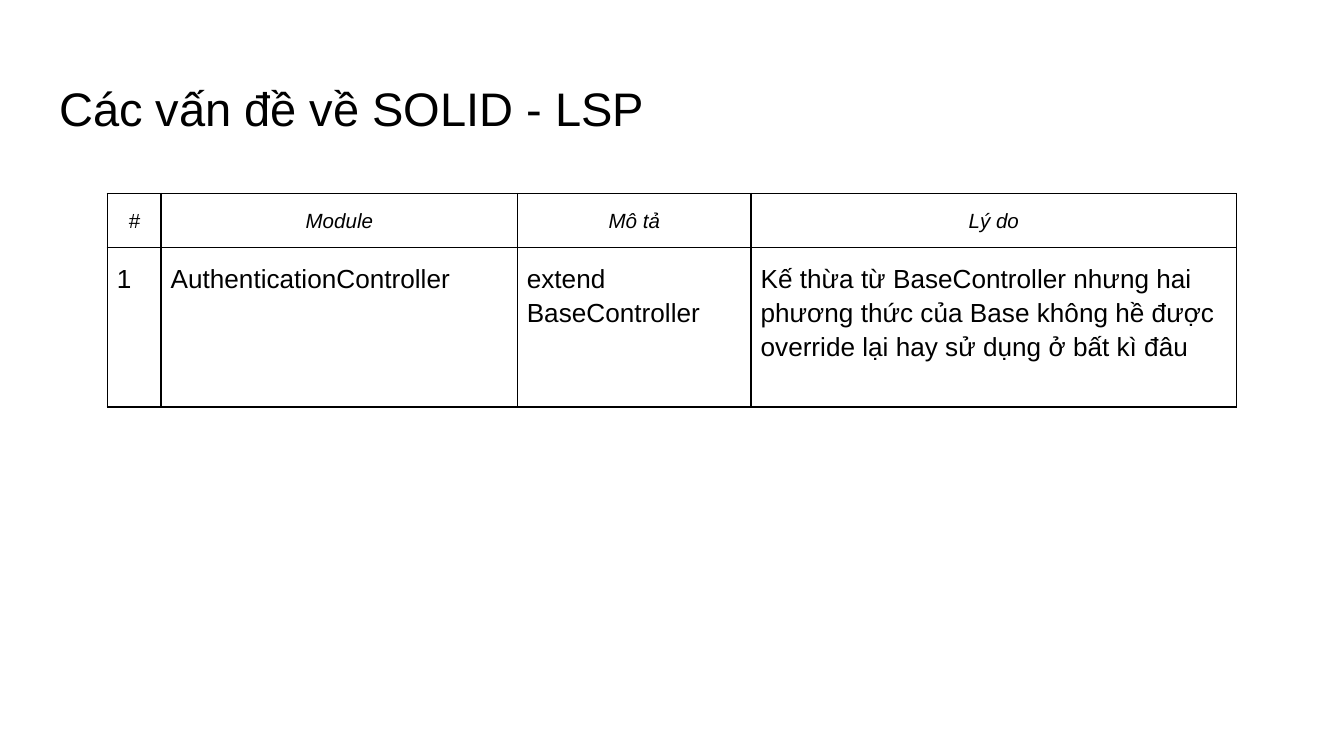
from lxml import etree
from pptx import Presentation
from pptx import util as u
from pptx.dml.color import RGBColor
from pptx.enum import text
from pptx.oxml.ns import qn

BLACK = RGBColor(0x00, 0x00, 0x00)
FONT = "Arial"

COLUMN_WIDTHS = [0.4, 2.65, 1.74, 3.61]
ROW_HEIGHTS = [0.4, 1.19]
ROWS = [
    ["#", "Module", "Mô tả", "Lý do"],
    ["1", "AuthenticationController", "extend BaseController",
     "Kế thừa từ BaseController nhưng hai phương thức của Base "
     "không hề được override lại hay sử dụng ở bất kì đâu"],
]
HEADER_FONT = {"size": u.Pt(11), "italic": True}
BODY_FONT = {"size": u.Pt(14), "italic": False}
CELL_MARGINS = {
    "margin_left": u.Inches(0.07), "margin_right": u.Inches(0.07),
    "margin_top": u.Inches(0.1), "margin_bottom": u.Inches(0.1),
}


def set_attrs(obj, values):
    for name, value in values.items():
        setattr(obj, name, value)


def set_font(p, values):
    set_attrs(p.font, {"name": FONT, "bold": False, **values})
    p.font.color.rgb = BLACK


def set_borders(cell, width=1):
    tc_pr = cell._tc.get_or_add_tcPr()
    for i, side in enumerate(("lnL", "lnR", "lnT", "lnB")):
        ln = etree.Element(qn(f"a:{side}"), w=str(u.Pt(width)))
        fill = etree.SubElement(ln, qn("a:solidFill"))
        etree.SubElement(fill, qn("a:srgbClr"), val=str(BLACK))
        tc_pr.insert(i, ln)


def add_title(slide, left, top, width, height):
    sp = slide.shapes.title
    set_attrs(sp, {"left": u.Inches(left), "top": u.Inches(top),
                   "width": u.Inches(width), "height": u.Inches(height)})
    tf = sp.text_frame
    tf.text = "Các vấn đề về SOLID - LSP"
    margins = {f"margin_{side}": u.Inches(0.1)
               for side in ("left", "right", "top", "bottom")}
    set_attrs(tf, {**margins, "word_wrap": True,
                   "auto_size": text.MSO_AUTO_SIZE.NONE,
                   "vertical_anchor": text.MSO_ANCHOR.TOP})
    p = tf.paragraphs[0]
    p.alignment = text.PP_ALIGN.LEFT
    set_font(p, {"size": u.Pt(25.2)})


def fill_cell(cell, words, is_header):
    cell.text = words
    cell.fill.background()
    set_attrs(cell, {**CELL_MARGINS, "vertical_anchor": text.MSO_ANCHOR.TOP})
    p = cell.text_frame.paragraphs[0]
    align = text.PP_ALIGN.CENTER if is_header else text.PP_ALIGN.LEFT
    set_attrs(p, {"alignment": align, "line_spacing": 1.15,
                  "space_after": u.Pt(12)})
    set_font(p, HEADER_FONT if is_header else BODY_FONT)
    set_borders(cell)


def add_issue_table(slide, left, top):
    table = slide.shapes.add_table(
        len(ROW_HEIGHTS), len(COLUMN_WIDTHS), u.Inches(left), u.Inches(top),
        u.Inches(sum(COLUMN_WIDTHS)), u.Inches(sum(ROW_HEIGHTS))).table
    table.horz_banding = False
    for column, width in zip(table.columns, COLUMN_WIDTHS):
        column.width = u.Inches(width)
    for r, (row, height) in enumerate(zip(table.rows, ROW_HEIGHTS)):
        row.height = u.Inches(height)
        for cell, words in zip(row.cells, ROWS[r]):
            fill_cell(cell, words, is_header=r == 0)


def main():
    prs = Presentation()
    prs.slide_width = u.Inches(10)
    prs.slide_height = u.Inches(10 * 9 / 16)
    slide = prs.slides.add_slide(prs.slide_layouts.get_by_name("Title Only"))
    add_title(slide, 0.34, 0.49, 9.32, 0.63)
    add_issue_table(slide, 0.8, 1.44)
    prs.save("out.pptx")


if __name__ == "__main__":
    main()
